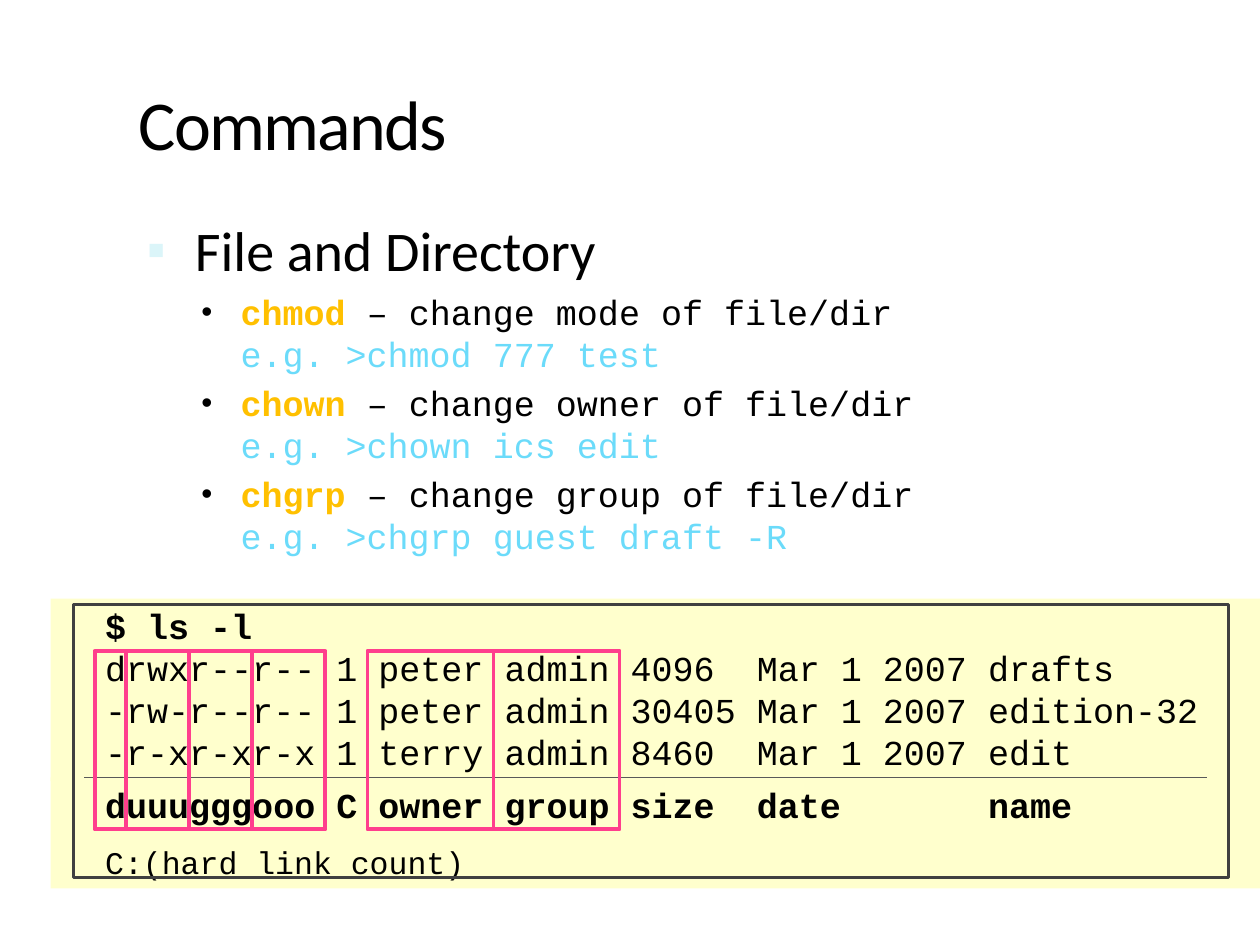
"""Build the Commands slide on file modes and owners."""
from lxml.etree import SubElement
from pptx import Presentation
from pptx.dml.color import RGBColor
from pptx.enum.shapes import MSO_CONNECTOR, MSO_SHAPE
from pptx.enum.text import MSO_ANCHOR, MSO_AUTO_SIZE, PP_ALIGN
from pptx.oxml.ns import qn
from pptx.util import Cm, Pt

BLACK = RGBColor(0x00, 0x00, 0x00)
GOLD = RGBColor(0xFF, 0xC0, 0x00)
SKY = RGBColor(0x6B, 0xDB, 0xFA)
PALE = RGBColor(0xDB, 0xF5, 0xF9)
CREAM = RGBColor(0xFF, 0xFF, 0xCD)
GREY = RGBColor(0x59, 0x59, 0x59)
DARK = RGBColor(0x40, 0x40, 0x40)
PINK = RGBColor(0xFF, 0x3F, 0x8D)
SANS, MONO = "Calibri", "Courier New"


def style(run, name, size, color=BLACK, bold=False):
    font = run.font
    font.name, font.size, font.bold = name, Pt(size), bold
    font.color.rgb = color


def bullet(para, char, color, scale, left, hang):
    props = para._p.get_or_add_pPr()
    props.set("marL", str(Cm(left)))
    props.set("indent", str(-Cm(hang)))
    tint = SubElement(props, qn("a:buClr"))
    SubElement(tint, qn("a:srgbClr")).set("val", str(color))
    SubElement(props, qn("a:buSzPct")).set("val", str(scale * 1000))
    SubElement(props, qn("a:buFont")).set("typeface", "Arial")
    SubElement(props, qn("a:buChar")).set("char", char)


deck = Presentation()
deck.slide_width, deck.slide_height = Cm(25.4), Cm(19.05)
slide = deck.slides.add_slide(deck.slide_layouts[5])
shapes = slide.shapes

title = shapes.title
title.left, title.top, title.width, title.height = Cm(2.54), Cm(1.42), Cm(21.59), Cm(2.54)
frame = title.text_frame
frame.text = "Commands"
frame.auto_size = MSO_AUTO_SIZE.NONE
frame.vertical_anchor = MSO_ANCHOR.TOP
frame.margin_top = Cm(0.2)
para = frame.paragraphs[0]
para.alignment = PP_ALIGN.LEFT
style(para.runs[0], SANS, 40)
para.runs[0]._r.get_or_add_rPr().set("spc", "-100")

body = shapes.add_textbox(Cm(2.54), Cm(4.23), Cm(22.86), Cm(7.2)).text_frame
body.word_wrap = True
body.text = "File and Directory"
para = body.paragraphs[0]
para.space_before = Pt(7)
style(para.runs[0], SANS, 32)
bullet(para, "▪", PALE, 95, 1.14, 0.97)

tools = [
    ("chmod", "mode", "777 test"),
    ("chown", "owner", "ics edit"),
    ("chgrp", "group", "guest draft -R"),
]
for tool, part, args in tools:
    para = body.add_paragraph()
    para.level = 1
    para.line_spacing, para.space_before = Pt(24), Pt(4)
    bullet(para, "•", BLACK, 90, 2.06, 0.79)
    name, use = para.add_run(), para.add_run()
    name.text, use.text = tool, f" – change {part} of file/dir"
    para.add_line_break()
    sample = para.add_run()
    sample.text = f"e.g. >{tool} {args}"
    style(name, MONO, 20, GOLD, True)
    style(use, MONO, 20)
    style(sample, MONO, 20, SKY)

listing = [
    ("$ ls -l", 20, True, 0),
    ("drwxr--r-- 1 peter admin 4096  Mar 1 2007 drafts", 20, False, 0),
    ("-rw-r--r-- 1 peter admin 30405 Mar 1 2007 edition-32", 20, False, 0),
    ("-r-xr-xr-x 1 terry admin 8460  Mar 1 2007 edit", 20, False, 0),
]
legend = [
    ("duuugggooo C owner group size  date       name", 20, True, 0),
    ("C:(hard link count)", 18, False, 10),
]
for top, height, lines in [(12.07, 3.68, listing), (15.67, 2.24, legend)]:
    panel = shapes.add_shape(MSO_SHAPE.RECTANGLE, Cm(1.02), Cm(top), Cm(24.38), Cm(height))
    panel.shadow.inherit = False
    panel.fill.solid()
    panel.fill.fore_color.rgb = CREAM
    panel.line.fill.background()
    frame = panel.text_frame
    frame.word_wrap = False
    frame.vertical_anchor = MSO_ANCHOR.TOP
    frame.margin_left = Cm(1.1)
    frame.text = "\n".join(line[0] for line in lines)
    for para, (text, size, bold, gap) in zip(frame.paragraphs, lines):
        para.alignment = PP_ALIGN.LEFT
        para.line_spacing, para.space_before = Pt(size * 1.2), Pt(gap)
        style(para.runs[0], MONO, size, BLACK, bold)

rule = shapes.add_connector(MSO_CONNECTOR.STRAIGHT, Cm(1.7), Cm(15.67), Cm(24.33), Cm(15.67))
rule.line.color.rgb, rule.line.width = GREY, Pt(0.94)
SubElement(rule._element.spPr, qn("a:effectLst"))

border = (1.48, 12.19, 23.29, 5.5, DARK, 1.5)
fields = [(7.41, 2.54), (9.95, 2.54), (1.91, 0.63), (2.54, 1.27), (3.81, 1.27), (5.08, 1.48)]
boxes = [border] + [(left, 13.12, width, 3.6, PINK, 2.25) for left, width in fields]
for left, top, width, height, color, weight in boxes:
    box = shapes.add_shape(MSO_SHAPE.RECTANGLE, Cm(left), Cm(top), Cm(width), Cm(height))
    box.shadow.inherit = False
    box.fill.background()
    box.line.color.rgb, box.line.width = color, Pt(weight)

deck.save("out.pptx")
